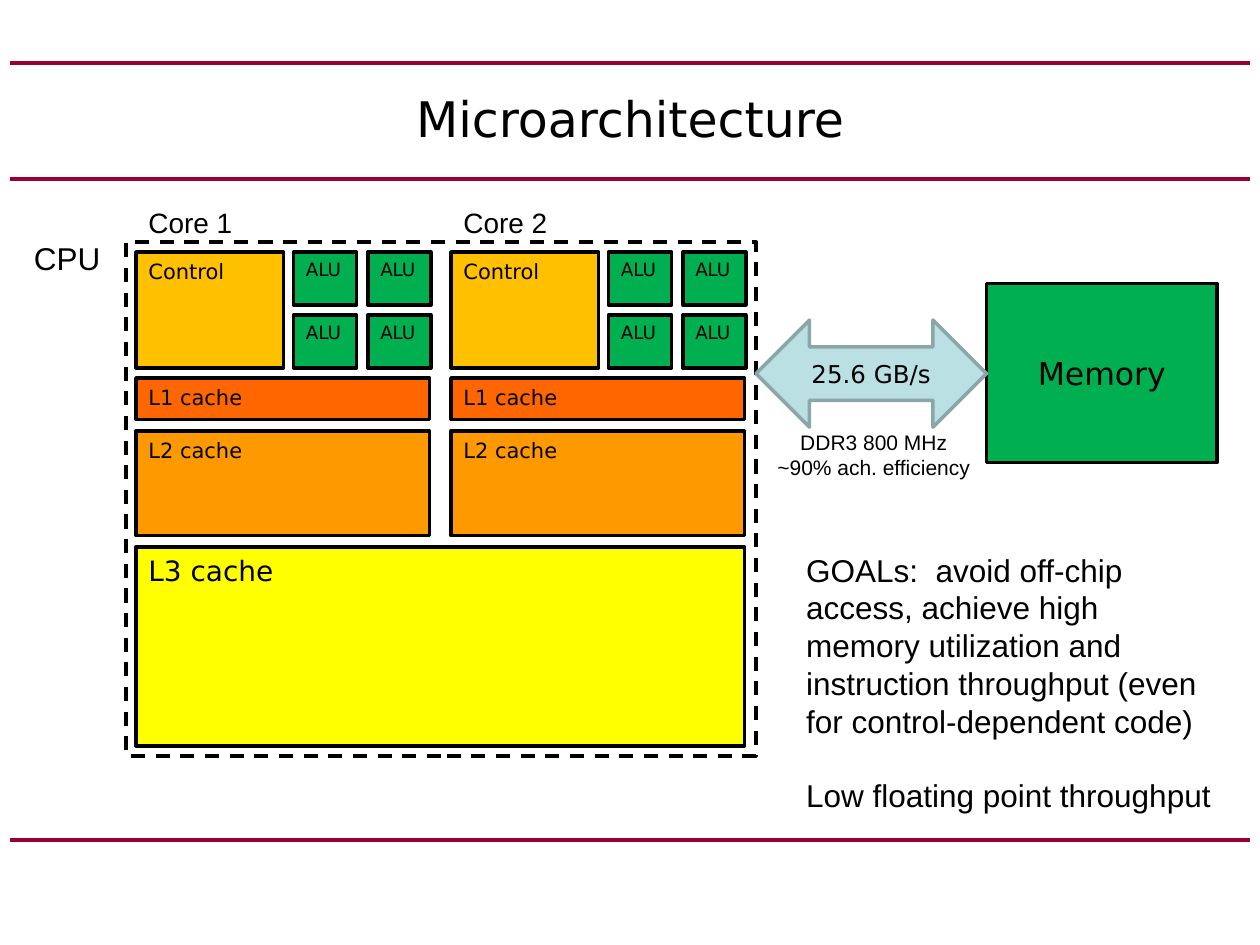
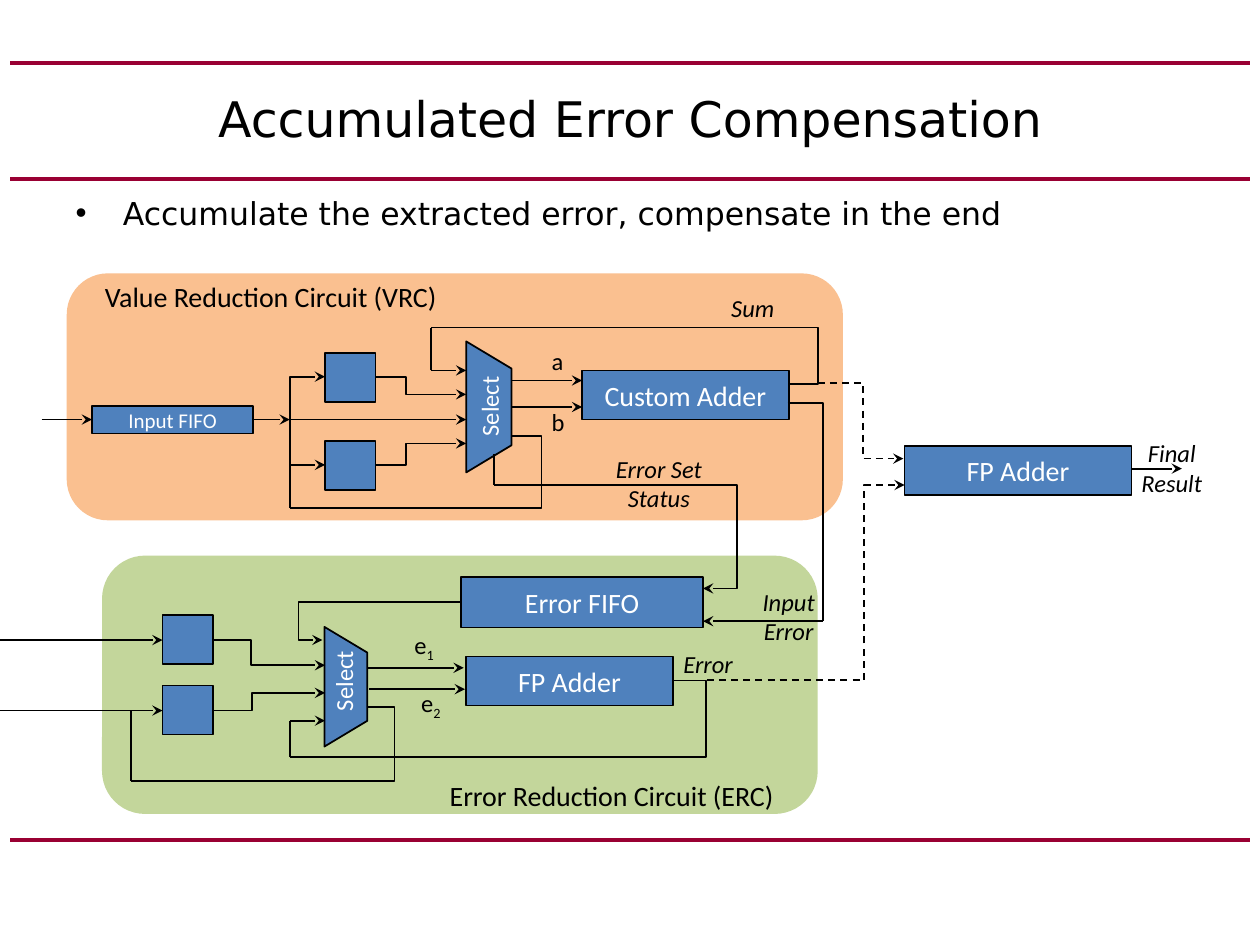
"""Build two slides on processor microarchitecture and error compensation."""
import dataclasses

import pptx
import pptx.dml.color
import pptx.enum.dml
import pptx.enum.shapes
import pptx.enum.text
import pptx.oxml
import pptx.oxml.ns
import pptx.util

PX = 9144
KIND = pptx.enum.shapes.MSO_SHAPE
ALIGN = pptx.enum.text.PP_ALIGN
ANCHOR = pptx.enum.text.MSO_ANCHOR
DASH = pptx.enum.dml.MSO_LINE.DASH
DRAWING = pptx.oxml.ns.nsdecls("a")


@dataclasses.dataclass(frozen=True)
class Theme:
    """Colours, fonts and type sizes of the deck."""
    black: str = "000000"
    white: str = "FFFFFF"
    rule: str = "990033"
    green: str = "00B050"
    control: str = "FFC000"
    level1: str = "FF6600"
    level2: str = "FF9900"
    level3: str = "FFFF00"
    bus: str = "BBE0E3"
    bus_edge: str = "8AA6A8"
    block: str = "4F81BD"
    value_area: str = "FAC090"
    error_area: str = "C3D69B"
    heading: str = "DejaVu Sans"
    plain: str = "Arial"
    diagram: str = "Calibri"
    title: float = 28
    large: float = 18
    medium: float = 16
    label: float = 14
    small: float = 12
    tiny: float = 10.5


THEME = Theme()


@dataclasses.dataclass(frozen=True)
class Box:
    """A rectangle in px on the slide."""
    left: int
    top: int
    width: int
    height: int

    def inner(self, left, top, width, height):
        """Return a box placed relative to this one."""
        return Box(self.left + left, self.top + top, width, height)

    def emu(self):
        """Return left, top, width and height in EMU."""
        return [PX * side for side in dataclasses.astuple(self)]


def rgb(colour):
    """Turn a hex string into a colour."""
    return pptx.dml.color.RGBColor.from_string(colour)


def assign(target, values):
    """Set each named value on the target."""
    for name, value in values.items():
        setattr(target, name, value)


def write(shape, paragraphs, size, font=THEME.diagram, colour=THEME.black,
          align=ALIGN.LEFT, anchor=ANCHOR.TOP, italic=False, gap=0, subscript=""):
    """Fill a shape with evenly formatted paragraphs."""
    frame = shape.text_frame
    assign(frame, {"word_wrap": True, "vertical_anchor": anchor,
                   "auto_size": pptx.enum.text.MSO_AUTO_SIZE.NONE})
    for index, text in enumerate(paragraphs):
        para = frame.add_paragraph() if index else frame.paragraphs[0]
        assign(para, {"alignment": align,
                      "space_before": pptx.util.Pt(gap if index else 0)})
        para.add_run().text = text
        if subscript:
            span = para.add_run()
            span.text = subscript
            span._r.get_or_add_rPr().set("baseline", "-25000")
        for span in para.runs:
            assign(span.font, {"name": font, "size": pptx.util.Pt(size), "italic": italic})
            span.font.color.rgb = rgb(colour)


def label(page, box, text, size=THEME.label, align=ALIGN.CENTER, **style):
    """Add a text box holding one or more paragraphs."""
    paragraphs = [text] if isinstance(text, str) else text
    write(page.shapes.add_textbox(*box.emu()), paragraphs, size, align=align, **style)


def stroke(line, colour, width, dash=None):
    """Format an outline or connector line."""
    line.color.rgb = rgb(colour)
    assign(line, {"width": pptx.util.Pt(width), "dash_style": dash})


def panel(page, box, fill=None, edge=None, width=1, kind=KIND.RECTANGLE, dash=None):
    """Add a flat preset shape."""
    shape = page.shapes.add_shape(kind, *box.emu())
    shape.shadow.inherit = False
    if fill:
        shape.fill.solid()
        shape.fill.fore_color.rgb = rgb(fill)
    else:
        shape.fill.background()
    if edge:
        stroke(shape.line, edge, width, dash)
    else:
        shape.line.fill.background()
    return shape


def wire(page, box, start, end, bend=None, arrow=True, dash=None,
         colour=THEME.black, width=1):
    """Join two points, turning at the x position of the bend if given."""
    style = pptx.enum.shapes.MSO_CONNECTOR
    points = [PX * (offset + value) for point in (start, end)
              for offset, value in zip((box.left, box.top), point)]
    kind = style.STRAIGHT if bend is None else style.ELBOW
    line = page.shapes.add_connector(kind, *points)
    stroke(line.line, colour, width, dash)
    properties = line._element.spPr
    if bend is not None:
        turn = round(100000 * (bend - start[0]) / (end[0] - start[0]))
        geometry = properties.find(pptx.oxml.ns.qn("a:prstGeom"))
        for old in list(geometry):
            geometry.remove(old)
        geometry.append(pptx.oxml.parse_xml(
            f'<a:avLst {DRAWING}><a:gd name="adj1" fmla="val {turn}"/></a:avLst>'))
    if arrow:
        line.line._get_or_add_ln().append(
            pptx.oxml.parse_xml(f'<a:tailEnd {DRAWING} type="stealth"/>'))
    properties.append(pptx.oxml.parse_xml(f"<a:effectLst {DRAWING}/>"))
    return line


def wires(page, box, routes, **style):
    """Draw routes given as start, end and an optional bend."""
    for route in routes:
        wire(page, box, *route, **style)


def add_rules(deck, page):
    """Put the three horizontal rules on the slide master."""
    for height in (667, 142, 50):
        line = wire(page, Box(8, height, 984, 0), (0, 0), (984, 0),
                    arrow=False, colour=THEME.rule, width=2.25)
        deck.slide_master.shapes.element.append(line._element)


def add_page(deck, layout, title):
    """Add a slide with a formatted title."""
    page = deck.slides.add_slide(deck.slide_layouts[layout])
    holder = page.shapes.title
    place(holder, Box(50, 50, 900, 87))
    write(holder, [title], THEME.title, font=THEME.heading,
          align=ALIGN.CENTER, anchor=ANCHOR.MIDDLE)
    return page


def place(shape, box):
    """Move and size a placeholder."""
    assign(shape, dict(zip(("left", "top", "width", "height"), box.emu())))


def chip(page, box, text, fill, size=THEME.small, **style):
    """Add an outlined hardware part with its name."""
    shape = panel(page, box, fill, THEME.black, 2)
    write(shape, [text], size, font=THEME.heading, **style)


def core(page, box, name):
    """Draw one processor core with its ALUs and private caches."""
    for row in range(2):
        for column in range(2):
            chip(page, box.inner(125 + 59 * column, 50 * row, 50, 42),
                 "ALU", THEME.green, THEME.tiny)
    chip(page, box.inner(0, 0, 117, 92), "Control", THEME.control)
    chip(page, box.inner(0, 100, box.width, 33), "L1 cache", THEME.level1)
    chip(page, box.inner(0, 142, box.width, 83), "L2 cache", THEME.level2)
    label(page, box.inner(0, -42, 108, 37), name, THEME.medium, ALIGN.LEFT, font=THEME.plain)


def processor(page, box):
    """Draw the two cores, the shared cache and the chip outline."""
    for index in range(2):
        core(page, box.inner(8 + 250 * index, 8, 233, 225), f"Core {index + 1}")
    chip(page, box.inner(8, 242, 483, 158), "L3 cache", THEME.level3, THEME.medium)
    panel(page, box, edge=THEME.black, width=2, dash=DASH)
    label(page, box.inner(-83, -7, 75, 40), "CPU", THEME.large, ALIGN.LEFT, font=THEME.plain)


def memory(page, box):
    """Draw the memory block and its bus."""
    middle = {"align": ALIGN.CENTER, "anchor": ANCHOR.MIDDLE}
    chip(page, box.inner(183, 0, 183, 142), "Memory", THEME.green, THEME.large, **middle)
    bus = panel(page, box.inner(0, 29, 183, 85), THEME.bus, THEME.bus_edge, 2,
                KIND.LEFT_RIGHT_ARROW)
    write(bus, ["25.6 GB/s"], THEME.label, font=THEME.heading, **middle)
    label(page, box.inner(-15, 111, 217, 50), ["DDR3 800 MHz", "~90% ach. efficiency"],
          THEME.small, font=THEME.plain)


def goals(page, box):
    """Write the design goals."""
    label(page, box, ["GOALs:  avoid off-chip access, achieve high memory utilization and "
                      "instruction throughput (even for control-dependent code)",
                      "Low floating point throughput"],
          THEME.large, ALIGN.LEFT, font=THEME.plain, gap=21)


def block(page, box, text="", size=THEME.medium):
    """Add a circuit block, with its name if it has one."""
    shape = panel(page, box, THEME.block, THEME.black)
    if text:
        write(shape, [text], size, colour=THEME.white,
              align=ALIGN.CENTER, anchor=ANCHOR.MIDDLE)


def selector(page, shape_box, text_box):
    """Add a multiplexer with its upright name."""
    shape = panel(page, shape_box, THEME.block, THEME.black, kind=KIND.TRAPEZOID)
    shape.adjustments[0] = 0.6
    shape.rotation = 90
    label(page, text_box, "Select", colour=THEME.white)
    page.shapes[-1].rotation = 270


def value_circuit(page, box):
    """Draw the value reduction circuit."""
    panel(page, box, THEME.value_area, kind=KIND.ROUNDED_RECTANGLE)
    label(page, box.inner(-11, 0, 346, 37), "Value Reduction Circuit (VRC)", THEME.medium)
    label(page, box.inner(501, 11, 87, 36), "Sum", italic=True)
    for name, top in (("a", 53), ("b", 101)):
        label(page, box.inner(375, top, 32, 36), name, align=ALIGN.LEFT)
    for top in (63, 133):
        block(page, box.inner(205, top, 40, 39))
    block(page, box.inner(20, 105, 128, 22), "Input FIFO", THEME.small)
    block(page, box.inner(409, 77, 164, 39), "Custom Adder")
    selector(page, box.inner(283, 88, 104, 36), box.inner(298, 88, 76, 35))
    wires(page, box, [
        ((-20, 116), (20, 116)), ((149, 116), (177, 116)), ((177, 116), (317, 116)),
        ((177, 116), (205, 82), 177), ((177, 116), (205, 152), 177),
        ((245, 82), (317, 96), 269), ((245, 152), (317, 135), 269),
        ((353, 85), (409, 85)), ((353, 106), (409, 106)), ((289, 77), (317, 77))])
    wires(page, box, [
        ((353, 129), (177, 186), 377), ((177, 186), (177, 152)),
        ((573, 88), (289, 43), 596), ((289, 43), (289, 77))], arrow=False)


def error_circuit(page, box):
    """Draw the error reduction circuit."""
    panel(page, box, THEME.error_area, kind=KIND.ROUNDED_RECTANGLE)
    label(page, box.inner(241, 172, 327, 37), "Error Reduction Circuit (ERC)", THEME.medium)
    label(page, box.inner(446, 69, 70, 36), "Error", italic=True)
    label(page, box.inner(505, 20, 80, 61), "Input Error", italic=True)
    label(page, box.inner(238, 54, 45, 36), "e", align=ALIGN.LEFT, subscript="1")
    label(page, box.inner(241, 100, 40, 36), "e", subscript="2")
    for top in (47, 103):
        block(page, box.inner(48, top, 40, 39))
    block(page, box.inner(285, 17, 192, 40), "Error FIFO")
    block(page, box.inner(289, 80, 164, 39), "FP Adder")
    selector(page, box.inner(146, 87, 95, 34), box.inner(152, 82, 81, 35))
    wires(page, box, [
        ((-81, 67), (48, 67)), ((-81, 123), (48, 123)), ((285, 37), (175, 67), 156),
        ((89, 67), (177, 87), 118), ((89, 123), (177, 109), 119),
        ((211, 89), (287, 89)), ((212, 106), (288, 106)), ((149, 131), (177, 131))])
    wires(page, box, [
        ((210, 120), (23, 179), 232), ((23, 179), (23, 123)),
        ((453, 99), (149, 160), 479), ((149, 160), (149, 131))], arrow=False)


def final_stage(page, box):
    """Draw the final adder and the links between both circuits."""
    block(page, box.inner(160, 60, 180, 39), "FP Adder")
    label(page, box.inner(336, 49, 72, 61), "Final Result", italic=True)
    label(page, box.inner(-83, 61, 96, 61), "Error Set Status", italic=True)
    wires(page, box, [((91, 10), (159, 70), 127), ((3, 246), (160, 91), 128)], dash=DASH)
    wires(page, box, [((67, 26), (95, 199), 95), ((-166, 66), (-166, 91))], arrow=False)
    wires(page, box, [((340, 78), (380, 78)), ((95, 199), (0, 199)),
                      ((-166, 91), (0, 173), 27)])


def architecture_slide(deck):
    """Build the microarchitecture slide."""
    page = add_page(deck, 5, "Microarchitecture")
    add_rules(deck, page)
    processor(page, Box(100, 192, 500, 408))
    memory(page, Box(600, 225, 366, 142))
    goals(page, Box(630, 432, 342, 222))


def compensation_slide(deck):
    """Build the error compensation slide."""
    page = add_page(deck, 1, "Accumulated Error Compensation")
    body = page.placeholders[1]
    place(body, Box(50, 149, 900, 508))
    write(body, ["Accumulate the extracted error, compensate in the end"],
          THEME.large, font=THEME.heading)
    value_circuit(page, Box(53, 217, 616, 196))
    error_circuit(page, Box(81, 441, 568, 205))
    final_stage(page, Box(558, 294, 408, 250))


def main():
    """Build and save the deck."""
    deck = pptx.Presentation()
    assign(deck, {"slide_width": 1000 * PX, "slide_height": 750 * PX})
    architecture_slide(deck)
    compensation_slide(deck)
    deck.save("out.pptx")


if __name__ == "__main__":
    main()
